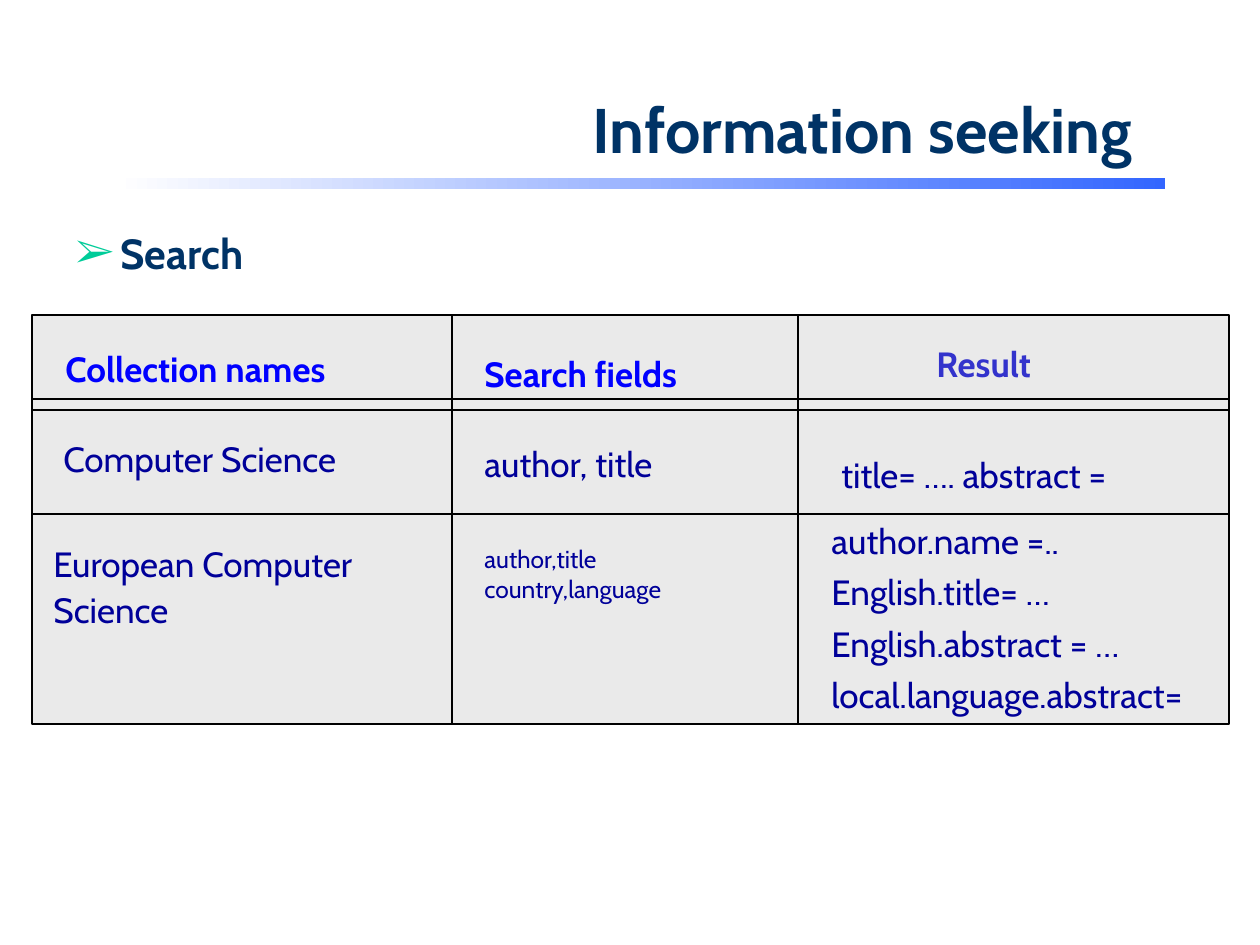
from lxml.etree import SubElement
from pptx import Presentation
from pptx.dml.color import RGBColor
from pptx.enum.shapes import MSO_CONNECTOR as Connector, MSO_SHAPE as Shape
from pptx.enum.text import MSO_ANCHOR as Anchor, MSO_AUTO_SIZE as AutoSize, PP_ALIGN as Align
from pptx.oxml.ns import qn
from pptx.util import Emu, Inches, Pt

SCALE = 914400 / 126
COLORS = {
    "heading": "003366", "bullet": "00CC99", "bar": "3366FF", "white": "FFFFFF",
    "cell": "EAEAEA", "line": "000000", "column": "0000FF", "result": "3333CC",
    "entry": "000099",
}
FONT = "Cabin"
LEFT, WIDTH = 32, 1197
BANDS = [(315, 514), (514, 724)]
COLUMN_LINES = [452, 798]
HEADER_LINES = [399, 410]
HEADINGS = [
    ((53, 346, 378, 53), "Collection names", "column", 0.9),
    ((472, 346, 273, 55), "Search fields", "column", 1),
    ((924, 336, 199, 55), "Result", "result", 1),
]
ENTRIES = [
    ((51, 436, 378, 63), "Computer Science", 20, 0.9, 0),
    ((472, 441, 305, 73), "author, title", 20, 0.9, 0),
    ((829, 447, 368, 55), "title= …. abstract =", 20, 1, 0),
    ((41, 541, 388, 116), "European Computer\nScience", 20, 0.9, 5),
    ((472, 546, 320, 95), "author,title\ncountry,language", 14, 0.7, 5),
    ((819, 525, 441, 197),
     "author.name =..\nEnglish.title= …\nEnglish.abstract = …\nlocal.language.abstract=",
     20, 0.7, 12.5),
]


def px(value):
    """Turn pixels into EMU."""
    return Emu(round(value * SCALE))


def color(name):
    """Look up a named colour."""
    return RGBColor.from_string(COLORS[name])


def style_text(shape, text, size, color_name, bold=False, spacing=1, gap=0, align=Align.LEFT):
    """Write text into a shape and format its paragraphs and runs."""
    frame = shape.text_frame
    frame.text = text
    frame.word_wrap = True
    frame.auto_size = AutoSize.NONE
    frame.vertical_anchor = Anchor.TOP
    for index, paragraph in enumerate(frame.paragraphs):
        paragraph.alignment = align
        paragraph.line_spacing = spacing
        paragraph.space_before = Pt(gap if index else 0)
        for run in paragraph.runs:
            run.font.name = FONT
            run.font.size = Pt(size)
            run.font.bold = bold
            run.font.color.rgb = color(color_name)


def place(shape, left, top, width, height):
    """Move and size a shape."""
    shape.left, shape.top, shape.width, shape.height = map(px, (left, top, width, height))


def add_text(slide, box, *text_style, **options):
    """Add a text box."""
    style_text(slide.shapes.add_textbox(*map(px, box)), *text_style, **options)


def add_bullet(paragraph, character, color_name, indent):
    """Give a paragraph a coloured bullet with a hanging indent."""
    properties = paragraph._p.get_or_add_pPr()
    properties.set("marL", str(px(indent)))
    properties.set("indent", str(-px(indent)))
    bullet_color = SubElement(properties, qn("a:buClr"))
    SubElement(bullet_color, qn("a:srgbClr"), val=COLORS[color_name])
    SubElement(properties, qn("a:buFont"), typeface="Times New Roman")
    SubElement(properties, qn("a:buChar"), char=character)


def add_rectangle(slide, box):
    """Add a rectangle without a shadow."""
    shape = slide.shapes.add_shape(Shape.RECTANGLE, *map(px, box))
    shape.shadow.inherit = False
    return shape


def add_title_bar(slide):
    """Add the fading bar under the title."""
    bar = add_rectangle(slide, (116, 178, 1049, 11))
    bar.line.fill.background()
    bar.fill.gradient()
    bar.fill.gradient_angle = 180
    for stop, name in zip(bar.fill.gradient_stops, ("bar", "white")):
        stop.color.rgb = color(name)


def add_band(slide, top, bottom):
    """Add one outlined band of the grid."""
    band = add_rectangle(slide, (LEFT, top, WIDTH, bottom - top))
    band.fill.solid()
    band.fill.fore_color.rgb = color("cell")
    band.line.color.rgb = color("line")
    band.line.width = Pt(0.75)


def add_line(slide, *ends):
    """Add a thin straight line."""
    line = slide.shapes.add_connector(Connector.STRAIGHT, *map(px, ends))
    line.line.color.rgb = color("line")
    line.line.width = Pt(0.75)
    SubElement(line._element.spPr, qn("a:effectLst"))


def add_grid(slide):
    """Add the bands with their column and header lines."""
    for top, bottom in BANDS:
        add_band(slide, top, bottom)
        for x in COLUMN_LINES:
            add_line(slide, x, top, x, bottom)
    for y in HEADER_LINES:
        add_line(slide, LEFT, y, LEFT + WIDTH, y)


def main():
    """Build and save the slide."""
    presentation = Presentation()
    presentation.slide_width, presentation.slide_height = Inches(10), Inches(7.5)
    slide = presentation.slides.add_slide(presentation.slide_layouts[1])
    title, body = slide.placeholders
    place(title, 231, 84, 914, 88)
    style_text(title, "Information seeking", 36, "heading", bold=True, align=Align.RIGHT)
    place(body, 63, 221, 462, 63)
    style_text(body, "Search", 24, "heading", bold=True)
    add_bullet(body.text_frame.paragraphs[0], "➢", "bullet", 45)
    add_title_bar(slide)
    add_grid(slide)
    for box, text, color_name, spacing in HEADINGS:
        add_text(slide, box, text, 20, color_name, bold=True, spacing=spacing)
    for box, text, size, spacing, gap in ENTRIES:
        add_text(slide, box, text, size, "entry", spacing=spacing, gap=gap)
    presentation.save("out.pptx")


if __name__ == "__main__":
    main()
